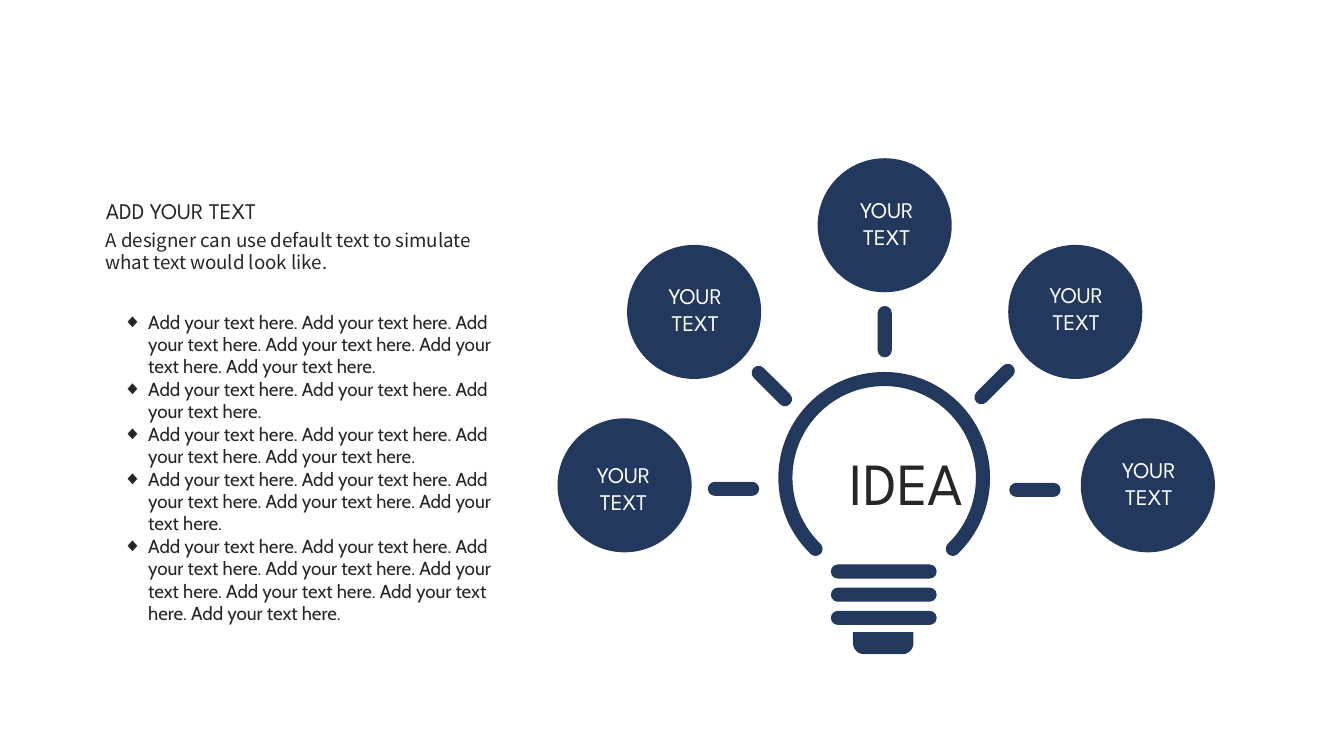
from math import cos, radians, sin, tan

from lxml import etree
from pptx import Presentation
from pptx.dml.color import RGBColor
from pptx.enum.shapes import MSO_SHAPE as Preset
from pptx.enum.text import MSO_ANCHOR as Anchor, MSO_AUTO_SIZE as AutoSize, PP_ALIGN as Align
from pptx.oxml.ns import qn
from pptx.util import Inches, Pt

NAVY = "22385C"
DARK = "262626"
WHITE = "FFFFFF"
SENTENCE = "Add your text here."


def paint(shape, color):
    shape.shadow.inherit = False
    shape.fill.solid()
    shape.fill.fore_color.rgb = RGBColor.from_string(color)
    shape.line.fill.background()


def write(shape, text, size, font, color, align=Align.LEFT, wrap=True):
    text_frame = shape.text_frame
    text_frame.text = text
    text_frame.word_wrap = wrap
    text_frame.auto_size = AutoSize.SHAPE_TO_FIT_TEXT
    text_frame.vertical_anchor = Anchor.TOP
    for paragraph in text_frame.paragraphs:
        paragraph.alignment = align
        paragraph.space_before = Pt(0)
        for run in paragraph.runs:
            run.font.size = Pt(size)
            run.font.name = font
            run.font.color.rgb = RGBColor.from_string(color)


presentation = Presentation()
presentation.slide_width = Inches(13.33)
presentation.slide_height = Inches(7.5)
slide = presentation.slides.add_slide(presentation.slide_layouts[1])
shapes = slide.shapes

bubbles = [
    (5.53, 4.15, 5.76, 4.53),
    (6.22, 2.43, 6.47, 2.75),
    (8.11, 1.57, 8.37, 1.9),
    (10, 2.43, 10.25, 2.74),
    (10.72, 4.15, 10.97, 4.48),
]
for left, top, label_left, label_top in bubbles:
    bubble = shapes.add_shape(
        Preset.OVAL, Inches(left), Inches(top), Inches(1.33), Inches(1.33))
    paint(bubble, NAVY)
    label = shapes.add_textbox(
        Inches(label_left), Inches(label_top), Inches(0.85), Inches(0.64))
    write(label, "YOUR\nTEXT", 16, "League Spartan", WHITE, Align.CENTER, wrap=False)

threads = [(8.24, 5.6 + 0.23 * row, 1.05, 0) for row in range(3)]
rays = [
    (7.02, 4.78, 0.51, 0),
    (7.4, 3.76, 0.51, 45),
    (8.52, 3.22, 0.51, 90),
    (9.61, 3.74, 0.51, 315),
    (10.01, 4.79, 0.51, 0),
]
for left, top, width, rotation in threads + rays:
    bar = shapes.add_shape(
        Preset.ROUNDED_RECTANGLE, Inches(left), Inches(top), Inches(width), Inches(0.14))
    bar.adjustments[0] = 0.5
    bar.rotation = rotation
    paint(bar, NAVY)

cap = shapes.add_shape(
    Preset.ROUND_2_SAME_RECTANGLE, Inches(8.46), Inches(6.27), Inches(0.6), Inches(0.22))
cap.adjustments[0] = 0.5
cap.adjustments[1] = 0
cap.rotation = 180
paint(cap, NAVY)

center_x, center_y = 8.77, 4.74
radius, half_width = 0.98, 0.07
start, end = 134, 406
tip_x = radius * cos(radians(end))
tip_y = center_y + radius * sin(radians(end))
arcs = [
    (center_x, center_y, radius + half_width, [start, 180, 270, 360, end]),
    (center_x + tip_x, tip_y, half_width, [46, 90, 180, 226]),
    (center_x, center_y, radius - half_width, [end, 360, 270, 180, start]),
    (center_x - tip_x, tip_y, half_width, [314, 360, 450, 494]),
]
outline = []
for x, y, size, angles in arcs:
    for first, last in zip(angles, angles[1:]):
        a, b = radians(first), radians(last)
        pull = 4 / 3 * tan((b - a) / 4)
        outline += [
            (x + size * (cos(a) - pull * sin(a)), y + size * (sin(a) + pull * cos(a))),
            (x + size * (cos(b) + pull * sin(b)), y + size * (sin(b) - pull * cos(b))),
            (x + size * cos(b), y + size * sin(b)),
        ]
points = [(Inches(x), Inches(y)) for x, y in outline]
builder = shapes.build_freeform(*points[-1])
builder.add_line_segments(points, close=True)
bulb = builder.convert_to_shape()
paint(bulb, NAVY)
outline_path = bulb._element.find(".//" + qn("a:path"))
segments = outline_path.findall(qn("a:lnTo"))
for index in range(0, len(points), 3):
    curve = etree.Element(qn("a:cubicBezTo"))
    segments[index].addprevious(curve)
    for segment in segments[index:index + 3]:
        curve.append(segment[0])
        outline_path.remove(segment)
for segment in segments[len(points):]:
    outline_path.remove(segment)

idea = shapes.add_textbox(Inches(7.99), Inches(4.37), Inches(1.66), Inches(0.82))
write(idea, "IDEA", 42.67, "League Spartan", DARK, Align.RIGHT, wrap=False)

title = shapes.title
title.left, title.top = Inches(0.95), Inches(1.91)
title.width, title.height = Inches(2.28), Inches(0.37)
write(title, "ADD YOUR TEXT", 16, "League Spartan", DARK)

summary = shapes.add_textbox(Inches(0.95), Inches(2.22), Inches(4.11), Inches(0.55))
write(summary, "A designer can use default text to simulate what text would look like.",
      13.33, "Noto Sans CJK SC", DARK)

body = slide.placeholders[1]
body.left, body.top = Inches(1.12), Inches(3.03)
body.width, body.height = Inches(4.11), Inches(3.24)
bullets = [" ".join([SENTENCE] * count) for count in (6, 3, 4, 5, 8)]
write(body, "\n".join(bullets), 13.33, "Cabin", DARK)
for paragraph in body.text_frame.paragraphs:
    properties = paragraph._p.get_or_add_pPr()
    properties.set("marL", str(Inches(0.25)))
    properties.set("indent", str(Inches(-0.25)))
    etree.SubElement(properties, qn("a:buChar")).set("char", "◆")

presentation.save("out.pptx")
